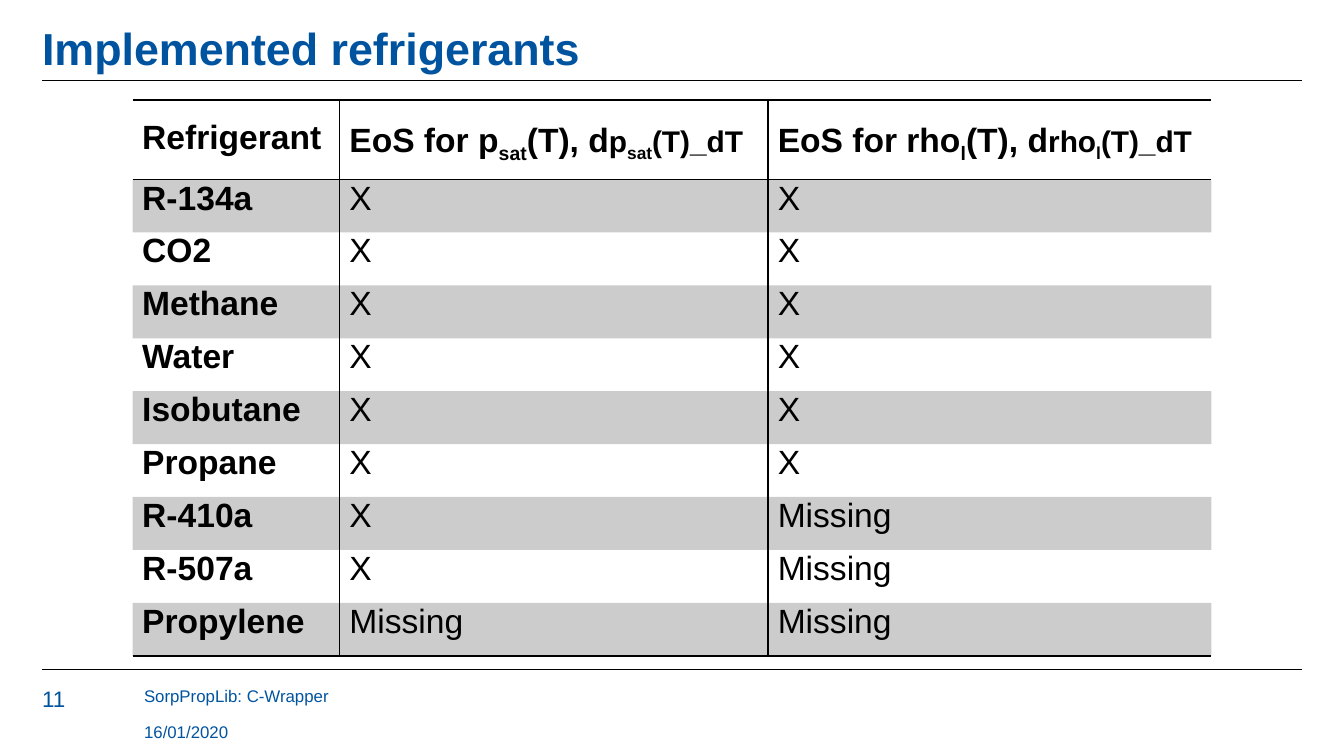
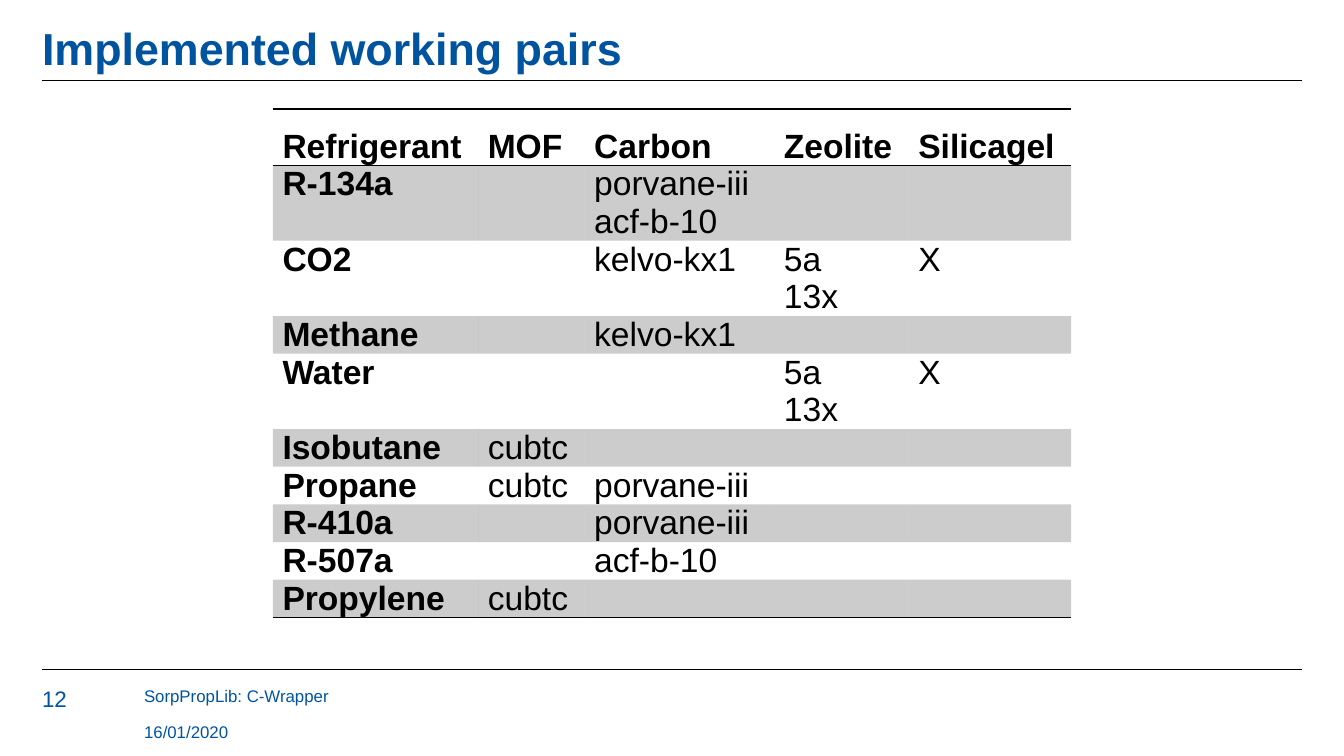
from lxml import etree
from pptx import Presentation
from pptx.dml.color import RGBColor
from pptx.enum import shapes, text
from pptx.oxml.ns import qn
from pptx.util import Pt

FONT = "Arial"
COLORS = {"blue": "00549F", "ink": "000000"}
NO_GRID_STYLE = "{2D5ABB26-0587-4C30-8999-92F81FD0307C}"
SLIDE_W, SLIDE_H = 720, 405
MARGIN = 22.5
RULES_Y = (43.2, 358.6)
FIRST_NUMBER = 11
FOOTERS = [("16/01/2020", 386.6, 85, 11), ("SorpPropLib: C-Wrapper", 367.2, 340, 19)]


def eos_header(quantity, index):
    """Header runs as (text, size, is subscript)."""
    return [(f"EoS for {quantity}", 18, False), (index, 18, True), ("(T), d", 18, False),
            (quantity, 16, False), (index, 16, True), ("(T)_dT", 16, False)]


# A string is one run; "\n" starts a new paragraph
SLIDES = [
    {
        "title": "Implemented refrigerants",
        "top": 53.6, "columns": (111, 229.5, 237.5), "header_h": 42.6, "row_h": 28.35,
        "column_rules": True,
        "rows": [
            ("Refrigerant", eos_header("p", "sat"), eos_header("rho", "l")),
            ("R-134a", "X", "X"),
            ("CO2", "X", "X"),
            ("Methane", "X", "X"),
            ("Water", "X", "X"),
            ("Isobutane", "X", "X"),
            ("Propane", "X", "X"),
            ("R-410a", "X", "Missing"),
            ("R-507a", "X", "Missing"),
            ("Propylene", "Missing", "Missing"),
        ],
    },
    {
        "title": "Implemented working pairs",
        "top": 58.4, "columns": (110, 57, 101.7, 72, 87), "header_h": 28.1, "row_h": 20,
        "column_rules": False,
        "rows": [
            ("Refrigerant", "MOF", "Carbon", "Zeolite", "Silicagel"),
            ("R-134a", "", "porvane-iii\nacf-b-10", "", ""),
            ("CO2", "", "kelvo-kx1", "5a\n13x", "X"),
            ("Methane", "", "kelvo-kx1", "", ""),
            ("Water", "", "", "5a\n13x", "X"),
            ("Isobutane", "cubtc", "", "", ""),
            ("Propane", "cubtc", "porvane-iii", "", ""),
            ("R-410a", "", "porvane-iii", "", ""),
            ("R-507a", "", "acf-b-10", "", ""),
            ("Propylene", "cubtc", "", "", ""),
        ],
    },
]


def rgb(name):
    return RGBColor.from_string(COLORS[name])


def style(paragraph, size, color, bold=False):
    font = paragraph.font
    font.name, font.size, font.bold = FONT, Pt(size), bold
    font.color.rgb = rgb(color)


def clear_insets(frame):
    frame.margin_left = frame.margin_top = frame.margin_right = frame.margin_bottom = 0
    frame.word_wrap = True
    frame.auto_size = text.MSO_AUTO_SIZE.NONE


def add_title(slide, wording):
    title = slide.shapes.title
    title.left, title.top, title.width, title.height = Pt(MARGIN), Pt(8), Pt(675), Pt(32.4)
    frame = title.text_frame
    frame.text = wording
    clear_insets(frame)
    frame.vertical_anchor = text.MSO_ANCHOR.BOTTOM
    heading = frame.paragraphs[0]
    heading.alignment = text.PP_ALIGN.LEFT
    heading.line_spacing = 0.9
    style(heading, 24, "blue", bold=True)


def add_label(slide, wording, left, top, width, height, size):
    frame = slide.shapes.add_textbox(Pt(left), Pt(top), Pt(width), Pt(height)).text_frame
    clear_insets(frame)
    frame.text = wording
    style(frame.paragraphs[0], size, "blue")


def add_frame(slide, number):
    """Rules, slide number and footers shared by all slides."""
    for y in RULES_Y:
        rule = slide.shapes.add_connector(
            shapes.MSO_CONNECTOR.STRAIGHT, Pt(MARGIN), Pt(y), Pt(SLIDE_W - MARGIN), Pt(y))
        rule.line.color.rgb = rgb("ink")
        rule.line.width = Pt(0.5)
        etree.SubElement(rule._element.spPr, qn("a:effectLst"))
    add_label(slide, str(number), MARGIN, 367.2, 34.5, 20, 12)
    for wording, top, width, height in FOOTERS:
        add_label(slide, wording, 77.2, top, width, height, 9)


def set_borders(cell, sides):
    tc_pr = cell._tc.get_or_add_tcPr()
    for side in "LRTB":
        line = etree.SubElement(tc_pr, qn(f"a:ln{side}"), w=str(Pt(1)))
        if side in sides:
            fill = etree.SubElement(line, qn("a:solidFill"))
            etree.SubElement(fill, qn("a:srgbClr"), val=COLORS["ink"])
        else:
            etree.SubElement(line, qn("a:noFill"))


def shade(cell, banded):
    if not banded:
        cell.fill.background()
        return
    cell.fill.solid()
    cell.fill.fore_color.rgb = rgb("ink")
    color = cell._tc.tcPr.find(qn("a:solidFill"))[0]
    etree.SubElement(color, qn("a:alpha"), val="20000")


def write_cell(cell, content, header, bold):
    cell.margin_left = cell.margin_right = Pt(5.2)
    cell.margin_top = cell.margin_bottom = 0
    frame = cell.text_frame
    if isinstance(content, str):
        frame.text = content
    else:
        for wording, size, subscript in content:
            run = frame.paragraphs[0].add_run()
            run.text = wording
            run.font.size = Pt(size)
            if subscript:
                run._r.get_or_add_rPr().set("baseline", "-25000")
    for paragraph in frame.paragraphs:
        style(paragraph, 18, "ink", bold)
        if header:
            paragraph.line_spacing = 1.5


def add_grid(slide, top, columns, header_h, row_h, column_rules, rows):
    width = sum(columns)
    lines = [max(c.count("\n") + 1 for c in row) for row in rows[1:]]
    heights = [header_h] + [row_h * n for n in lines]
    table = slide.shapes.add_table(
        len(rows), len(columns), Pt((SLIDE_W - width) / 2), Pt(top),
        Pt(width), Pt(sum(heights))).table
    table._tbl.tblPr.find(qn("a:tableStyleId")).text = NO_GRID_STYLE
    for column, w in zip(table.columns, columns):
        column.width = Pt(w)
    for r, row in enumerate(rows):
        table.rows[r].height = Pt(heights[r])
        for c, content in enumerate(row):
            cell = table.cell(r, c)
            sides = {0: "TB", 1: "T", len(rows) - 1: "B"}.get(r, "")
            if column_rules:
                sides += "L" * (c > 0) + "R" * (c < len(columns) - 1)
            write_cell(cell, content, header=r == 0, bold=r == 0 or c == 0)
            set_borders(cell, sides)
            shade(cell, banded=r % 2 == 1)


def main():
    deck = Presentation()
    deck.slide_width, deck.slide_height = Pt(SLIDE_W), Pt(SLIDE_H)
    for number, content in enumerate(SLIDES, FIRST_NUMBER):
        slide = deck.slides.add_slide(deck.slide_layouts[5])
        add_frame(slide, number)
        add_title(slide, content["title"])
        add_grid(slide, **{key: value for key, value in content.items() if key != "title"})
    deck.save("out.pptx")


if __name__ == "__main__":
    main()
